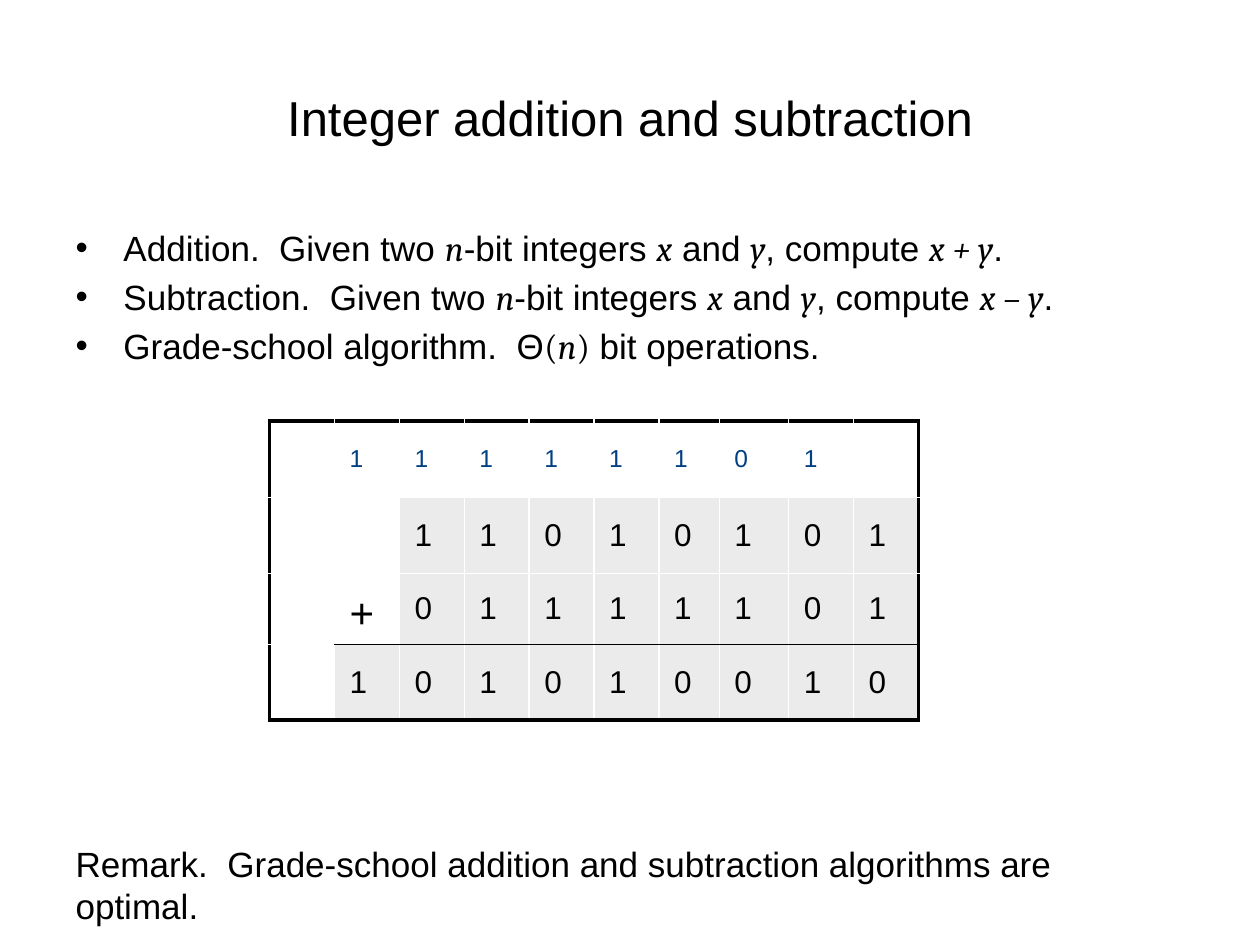
from lxml import etree
from pptx import Presentation, util as u
from pptx.dml.color import RGBColor
from pptx.enum import text
from pptx.oxml import ns

WIDE, HIGH = 10, 7.5
BLACK, WHITE, GREY, BLUE = "000000", "FFFFFF", "EBEBEB", "003F83"
ITEMS = [
    "Addition.  Given two *n*-bit integers *x* and *y*, compute *x + y*.",
    "Subtraction.  Given two *n*-bit integers *x* and *y*, compute *x – y*.",
    "Grade-school algorithm.  Θ*(**n**)* bit operations.",
]
REMARK = "Remark.  Grade-school addition and subtraction algorithms are optimal."
SUM = [" 11111101 ", "  11010101", " +01111101", " 101010010"]
COLS = [1] * 6 + [0.93, 1.07, 1, 1]
ROWS = [0.61, 0.6, 0.56, 0.6]


def paint(font, color):
    """Set the colour of a font or a fill from a hex string."""
    font.fore_color.rgb = RGBColor.from_string(color)


def put(shape, left, top, width, height):
    """Place a shape by shares of the slide's size."""
    shape.left, shape.width = u.Inches(left * WIDE), u.Inches(width * WIDE)
    shape.top, shape.height = u.Inches(top * HIGH), u.Inches(height * HIGH)


def add_run(para, words, size, color=BLACK, face="Arial", slant=False):
    """Add one formatted run to a paragraph."""
    run = para.add_run()
    run.text = words
    font = run.font
    font.size, font.name, font.italic = u.Pt(size), face, slant
    font.fill.solid()
    paint(font.fill, color)


def add_math(para, words, size):
    """Add runs, setting the parts between stars as mathematics."""
    for i, part in enumerate(words.split("*")):
        if part and i % 2:
            add_run(para, part, size, face="Cambria", slant=part not in "()")
        elif part:
            add_run(para, part, size)


def indent(para, left, first=0):
    """Set the left margin and first-line indent, in inches."""
    props = para._p.get_or_add_pPr()
    props.set("marL", str(u.Inches(left)))
    props.set("indent", str(u.Inches(first)))
    return props


def fill_title(shape, words):
    """Fill the title placeholder."""
    put(shape, 0.05, 0.04, 0.9, 1 / 6)
    shape.text_frame.vertical_anchor = text.MSO_ANCHOR.MIDDLE
    para = shape.text_frame.paragraphs[0]
    para.alignment = text.PP_ALIGN.CENTER
    add_run(para, words, 28)


def fill_body(shape):
    """Fill the body placeholder with the bullets and the remark."""
    put(shape, 0.05, 1.75 / HIGH, 0.9, 0.66)
    frame = shape.text_frame
    frame.auto_size = text.MSO_AUTO_SIZE.NONE
    for i, words in enumerate(ITEMS + [REMARK]):
        para = frame.add_paragraph() if i else frame.paragraphs[0]
        para.space_before = u.Pt(4)
        add_math(para, words, 20)
        if words == REMARK:
            para.space_before = u.Pt(272)
            etree.SubElement(indent(para, 0), ns.qn("a:buNone"))
        else:
            indent(para, 0.38, -0.38)


def edge(cell, side, color, width):
    """Draw one border of a cell."""
    props = cell._tc.get_or_add_tcPr()
    line = etree.SubElement(props, ns.qn("a:ln" + side), w=str(u.Pt(width)))
    solid = etree.SubElement(line, ns.qn("a:solidFill"))
    etree.SubElement(solid, ns.qn("a:srgbClr"), val=color)


def frame_cell(cell, row, col):
    """Draw the box, the sum line and the white grid around a cell."""
    outer = {"L": col == 0, "R": col == len(COLS) - 1,
             "T": row == 0, "B": row == len(ROWS) - 1}
    rule = {2: "B", 3: "T"}.get(row) if col else None
    for side, bold in outer.items():
        color = BLACK if bold or side == rule else WHITE
        edge(cell, side, color, 2.25 if bold else 1)


def fill_cell(cell, mark, row):
    """Write a digit or sign and shade the digits of the sum."""
    cell.fill.background()
    cell.vertical_anchor = text.MSO_ANCHOR.MIDDLE
    cell.margin_left = cell.margin_right = u.Inches(0.06)
    cell.margin_top = cell.margin_bottom = u.Inches(0.06)
    if mark == " ":
        return
    para = cell.text_frame.paragraphs[0]
    indent(para, 0.06)
    if row == 0:
        add_run(para, mark, 14, BLUE)
    elif mark == "+":
        para.line_spacing = 1.2
        add_run(para, mark, 24)
    else:
        add_run(para, mark, 18)
        cell.fill.solid()
        paint(cell.fill, GREY)


def add_sum(slide):
    """Add the table with the worked binary addition."""
    unit = 0.515
    table = slide.shapes.add_table(
        len(ROWS), len(COLS), u.Inches(2.14), u.Inches(3.34),
        u.Inches(unit * sum(COLS)), u.Inches(sum(ROWS))).table
    table.first_row = table.horz_banding = False
    for col, share in zip(table.columns, COLS):
        col.width = u.Inches(unit * share)
    for i, marks in enumerate(SUM):
        table.rows[i].height = u.Inches(ROWS[i])
        for j, mark in enumerate(marks):
            cell = table.cell(i, j)
            frame_cell(cell, i, j)
            fill_cell(cell, mark, i)


def main():
    """Build and save the slide."""
    deck = Presentation()
    deck.slide_width, deck.slide_height = u.Inches(WIDE), u.Inches(HIGH)
    slide = deck.slides.add_slide(deck.slide_layouts[1])
    fill_title(slide.shapes.title, "Integer addition and subtraction")
    fill_body(slide.placeholders[1])
    add_sum(slide)
    deck.save("out.pptx")


if __name__ == "__main__":
    main()
